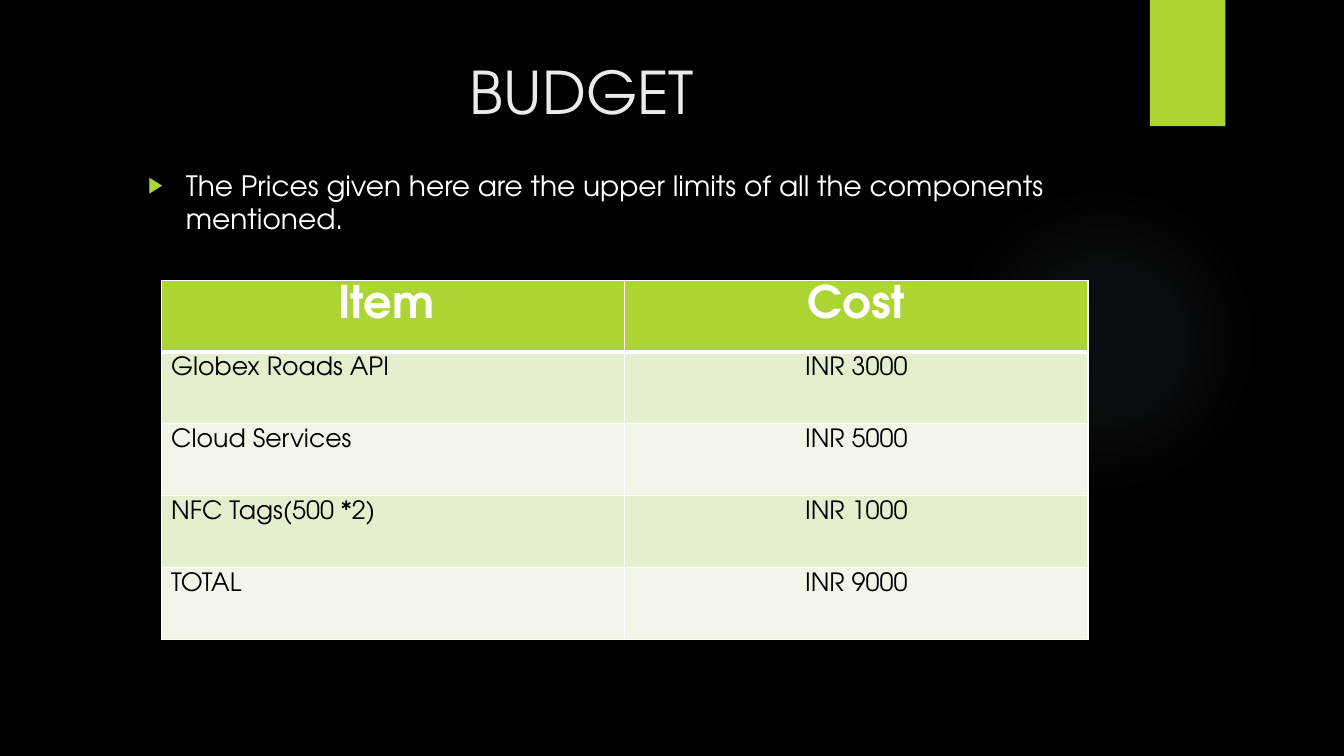
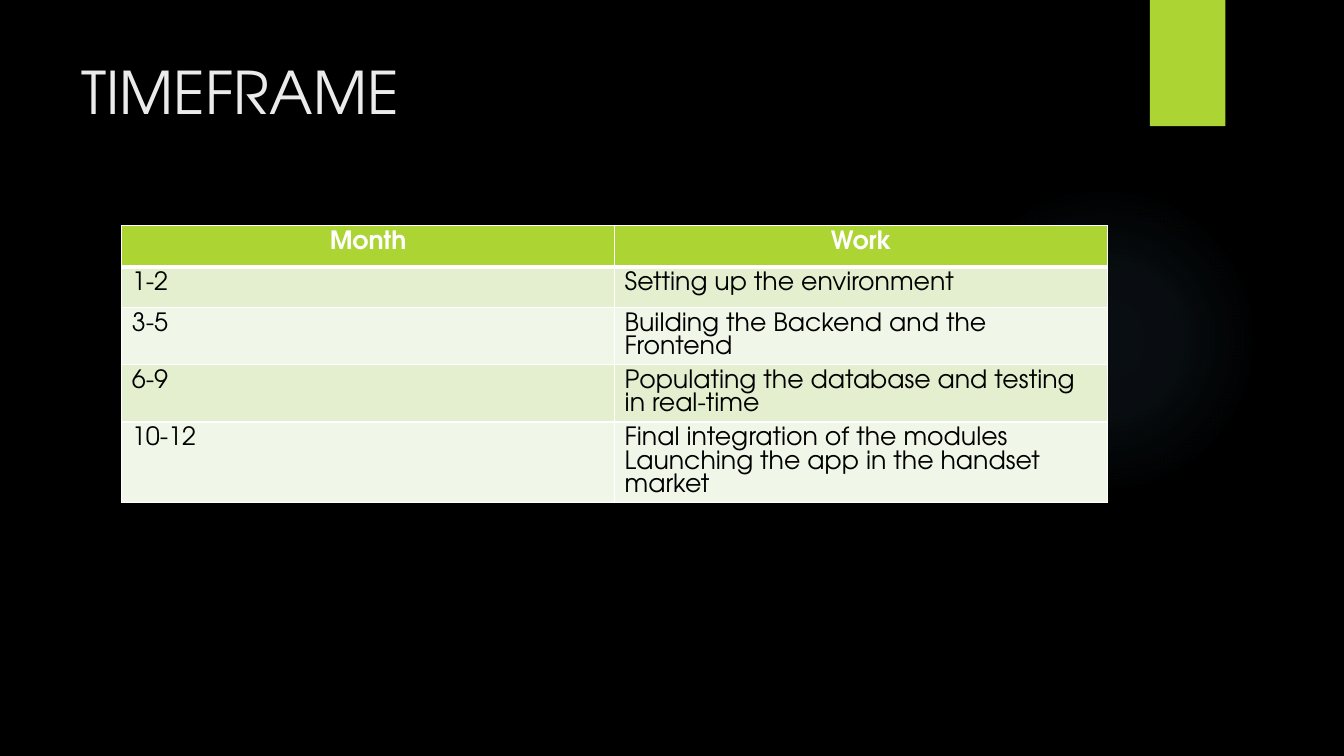
import pptx
import pptx.util
import pptx.dml.color
import pptx.enum.shapes
import pptx.enum.text
import pptx.oxml
import pptx.oxml.ns

Cm = pptx.util.Cm
Pt = pptx.util.Pt
Align = pptx.enum.text.PP_ALIGN
Shape = pptx.enum.shapes.MSO_SHAPE

FONT = "TeX Gyre Adventor"
LIME, WHITE, BLACK, GREY = "ACD433", "FFFFFF", "000000", "EBEBEB"
BANDS = ["F1F7E8", "E3EFCE"]
NS = pptx.oxml.ns.nsdecls("a")


def hue(code):
    return pptx.dml.color.RGBColor.from_string(code)


def say(frame, text, size=18, color=BLACK, bold=False, align=Align.LEFT, space=1.0):
    frame.text = text
    for para in frame.paragraphs:
        para.alignment = align
        para.line_spacing = space
        for run in para.runs:
            font = run.font
            font.name, font.size, font.bold = FONT, Pt(size), bold
            font.color.rgb = hue(color)


deck = pptx.Presentation()
deck.slide_width, deck.slide_height = Cm(33.87), Cm(19.05)
master = deck.slide_master

pages = [
    dict(title="BUDGET ", align=Align.CENTER, layout=1, tall=2.84,
         note="The Prices given here are the upper limits of all the components mentioned.",
         left=4.06, top=7.06, col=11.68, row=1.81, head=32, cost=Align.CENTER,
         rows=[("Item ", "Cost"), ("Globex Roads API", "INR 3000"),
               ("Cloud Services", "INR 5000"), ("NFC Tags(500 *2)", "INR 1000"),
               ("TOTAL", "INR 9000")]),
    dict(title="TIMEFRAME", align=Align.LEFT, layout=5, tall=3.89, note=None,
         left=3.07, top=5.69, col=12.42, row=1.03, head=18, cost=Align.LEFT,
         rows=[("Month", "Work"), ("1-2", "Setting up the environment"),
               ("3-5", "Building the Backend and the Frontend"),
               ("6-9", "Populating the database and testing in real-time"),
               ("10-12", "Final integration of the modules\n"
                         "Launching the app in the handset market")]),
]
slides = [deck.slides.add_slide(deck.slide_layouts[page["layout"]]) for page in pages]

# Shared backdrop: black ground, soft glow and lime tab, moved to the master
master.background.fill.solid()
master.background.fill.fore_color.rgb = hue(BLACK)
shapes = slides[0].shapes
glow = shapes.add_shape(Shape.OVAL, Cm(23.9), Cm(4.65), Cm(7.82), Cm(7.82))
tab = shapes.add_shape(Shape.RECTANGLE, Cm(28.98), 0, Cm(1.9), Cm(3.18))
tab.fill.solid()
tab.fill.fore_color.rgb = hue(LIME)
stops = "".join(
    f'<a:gs pos="{pos * 1000}"><a:srgbClr val="7AC4F0"><a:alpha val="{alpha * 1000}"/></a:srgbClr></a:gs>'
    for pos, alpha in [(0, 7), (36, 6), (69, 0)])
glow.element.spPr.insert(2, pptx.oxml.parse_xml(
    f'<a:gradFill {NS} rotWithShape="1"><a:gsLst>{stops}</a:gsLst><a:path path="circle">'
    '<a:fillToRect l="50000" t="50000" r="50000" b="50000"/></a:path></a:gradFill>'))
for spot, shape in enumerate([glow, tab], 2):
    shape.line.fill.background()
    shape.shadow.inherit = False
    master.shapes.element.insert(spot, shape.element)

for slide, page in zip(slides, pages):
    # Title
    title = slide.shapes.title
    title.left, title.top, title.width, title.height = Cm(1.8), Cm(1.27), Cm(26.14), Cm(page["tall"])
    title.text_frame.vertical_anchor = pptx.enum.text.MSO_ANCHOR.TOP
    say(title.text_frame, page["title"], size=42, color=GREY, align=page["align"])

    # Bulleted note
    if page["note"]:
        body = slide.placeholders[1]
        body.left, body.top, body.width, body.height = Cm(3.48), Cm(4.11), Cm(26.11), Cm(13.23)
        say(body.text_frame, page["note"], size=20, color=WHITE)
        para = body.text_frame.paragraphs[0]
        para.space_before = Pt(10)
        props = para._p.get_or_add_pPr()
        props.set("marL", str(Cm(0.95)))
        props.set("indent", str(-Cm(0.95)))
        for mark in (f'<a:buClr {NS}><a:srgbClr val="{LIME}"/></a:buClr>',
                     f'<a:buSzPct {NS} val="80000"/>',
                     f'<a:buFont {NS} typeface="Arial"/>',
                     f'<a:buChar {NS} char="▶"/>'):
            props.append(pptx.oxml.parse_xml(mark))

    # Table
    rows = page["rows"]
    table = slide.shapes.add_table(
        len(rows), 2, Cm(page["left"]), Cm(page["top"]),
        Cm(page["col"] * 2), Cm(page["row"] * len(rows))).table
    for r, row in enumerate(rows):
        for c, text in enumerate(row):
            cell = table.cell(r, c)
            cell.fill.solid()
            cell.fill.fore_color.rgb = hue(BANDS[r % 2] if r else LIME)
            if r:
                say(cell.text_frame, text, align=page["cost"] if c else Align.LEFT)
            else:
                say(cell.text_frame, text, size=page["head"], color=WHITE, bold=True,
                    align=Align.CENTER)
            # White borders, thicker under the header
            wide = {"L": 1, "R": 1, "T": 3 if r == 1 else 1, "B": 1 if r else 3}
            for spot, (side, width) in enumerate(wide.items()):
                cell._tc.get_or_add_tcPr().insert(spot, pptx.oxml.parse_xml(
                    f'<a:ln{side} {NS} w="{Pt(width)}"><a:solidFill>'
                    f'<a:srgbClr val="{WHITE}"/></a:solidFill></a:ln{side}>'))

deck.save("out.pptx")
